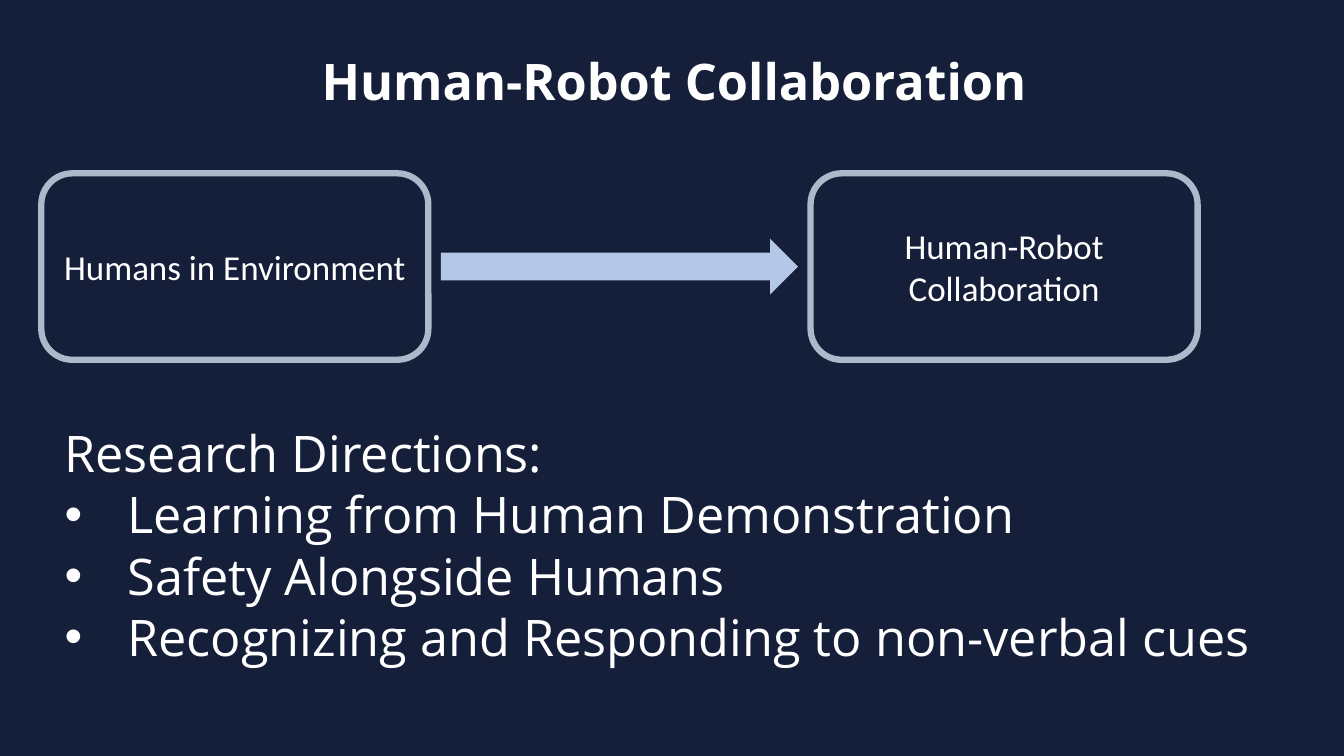
from lxml import etree
from pptx import Presentation
from pptx.dml.color import RGBColor
from pptx.enum import shapes, text
from pptx.oxml import ns
from pptx.util import Pt

NAVY, WHITE, OUTLINE, ARROW = "151F39", "FFFFFF", "ADB9CA", "B4C7E7"
DIRECTIONS = [
    "Learning from Human Demonstration",
    "Safety Alongside Humans",
    "Recognizing and Responding to non-verbal cues",
]


def color(value):
    """Return the colour for a hex string."""
    return RGBColor.from_string(value)


def place(shape, left, top, width, height):
    """Move and size a shape, in points."""
    shape.left, shape.top = Pt(left), Pt(top)
    shape.width, shape.height = Pt(width), Pt(height)


def write(paragraph, words, size=36, font="Open Sans", bold=False,
          align=text.PP_ALIGN.LEFT, spacing=0.9, before=0):
    """Write formatted white text into a paragraph."""
    paragraph.alignment = align
    paragraph.line_spacing = spacing
    paragraph.space_before = Pt(before)
    run = paragraph.add_run()
    run.text = words
    run.font.size, run.font.name, run.font.bold = Pt(size), font, bold
    run.font.color.rgb = color(WHITE)


def add_bullet(paragraph, indent):
    """Give a paragraph a round bullet with a hanging indent."""
    properties = paragraph._p.get_or_add_pPr()
    properties.set("marL", str(Pt(indent)))
    properties.set("indent", str(-Pt(indent)))
    etree.SubElement(properties, ns.qn("a:buFont"), typeface="Arial")
    etree.SubElement(properties, ns.qn("a:buChar"), char="•")


def add_title(slide, words, left, top, width, height):
    """Fill and place the title placeholder."""
    title = slide.shapes.title
    place(title, left, top, width, height)
    frame = title.text_frame
    frame.vertical_anchor = text.MSO_ANCHOR.MIDDLE
    frame.auto_size = text.MSO_AUTO_SIZE.NONE
    write(frame.paragraphs[0], words, bold=True)


def add_stage(slide, words, left, top, width, height):
    """Draw one outlined stage of the flow."""
    stage = slide.shapes.add_shape(
        shapes.MSO_SHAPE.ROUNDED_RECTANGLE, Pt(left), Pt(top), Pt(width), Pt(height))
    stage.shadow.inherit = False
    stage.fill.background()
    stage.line.color.rgb = color(OUTLINE)
    stage.line.width = Pt(4.5)
    frame = stage.text_frame
    frame.word_wrap = True
    frame.vertical_anchor = text.MSO_ANCHOR.MIDDLE
    write(frame.paragraphs[0], words, size=25, font="Calibri",
          align=text.PP_ALIGN.CENTER, spacing=1.0)


def add_flow_arrow(slide, left, top, width, height):
    """Draw a block arrow that points right across the given box."""
    arrow = slide.shapes.add_shape(
        shapes.MSO_SHAPE.DOWN_ARROW, Pt(left + (width - height) / 2),
        Pt(top + (height - width) / 2), Pt(height), Pt(width))
    arrow.rotation = 270
    arrow.shadow.inherit = False
    arrow.fill.solid()
    arrow.fill.fore_color.rgb = color(ARROW)
    arrow.line.fill.background()


def add_flow(slide, left, top, width, height):
    """Draw the two stages and the arrow between them."""
    stage_width, arrow_width, arrow_height = 276.5, 255, 39.6
    add_stage(slide, "Humans in Environment", left, top, stage_width, height)
    add_stage(slide, "Human-Robot Collaboration",
              left + width - stage_width, top, stage_width, height)
    add_flow_arrow(slide, left + (width - arrow_width) / 2,
                   top + (height - arrow_height) / 2, arrow_width, arrow_height)


def add_directions(slide, left, top, width, height):
    """Write the heading and the bulleted research directions."""
    box = slide.shapes.add_textbox(Pt(left), Pt(top), Pt(width), Pt(height))
    frame = box.text_frame
    frame.word_wrap = True
    write(frame.paragraphs[0], "Research Directions:", spacing=0.83)
    for direction in DIRECTIONS:
        paragraph = frame.add_paragraph()
        write(paragraph, direction, spacing=0.83, before=8)
        add_bullet(paragraph, 45)


def main():
    """Build the slide and save it."""
    presentation = Presentation()
    presentation.slide_width, presentation.slide_height = Pt(960), Pt(540)
    slide = presentation.slides.add_slide(presentation.slide_layouts[5])
    slide.background.fill.solid()
    slide.background.fill.fore_color.rgb = color(NAVY)
    add_title(slide, "Human-Robot Collaboration", 222.5, 38, 713.5, 44)
    add_flow(slide, 29.5, 123.8, 826, 133.2)
    add_directions(slide, 39, 305.3, 870.5, 208)
    presentation.save("out.pptx")


if __name__ == "__main__":
    main()
